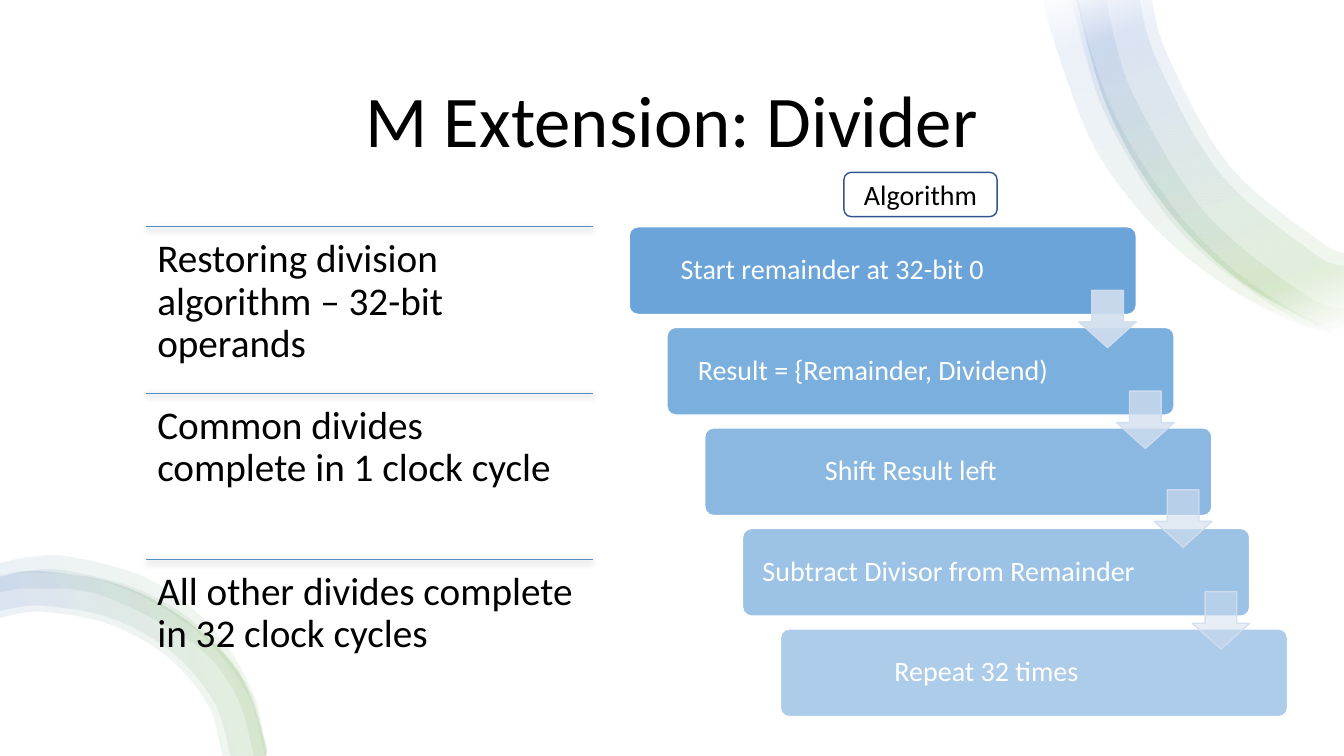
import pptx
import pptx.util
import pptx.dml.color
import pptx.enum.shapes
import pptx.enum.text
import pptx.oxml
import pptx.oxml.ns

Inches = pptx.util.Inches
Kind = pptx.enum.shapes.MSO_SHAPE
Align = pptx.enum.text.PP_ALIGN
Anchor = pptx.enum.text.MSO_ANCHOR
tag = pptx.oxml.ns.qn

HUES = {
    "white": "FFFFFF", "black": "000000", "green": "70AD47", "blue": "4472C4",
    "step": "5B9BD5", "arrow": "D2DEEF", "rule": "538DC1", "frame": "325491",
}
SPACE = 'xmlns:a="http://schemas.openxmlformats.org/drawingml/2006/main"'

POINTS = ["Restoring division algorithm – 32-bit operands",
          "Common divides complete in 1 clock cycle",
          "All other divides complete in 32 clock cycles"]
STEPS = ["Start remainder at 32-bit 0", "Result = {Remainder, Dividend)",
         "Shift Result left", "Subtract Divisor from Remainder", "Repeat 32 times"]
ARROWS = [(2.88, 90), (3.88, 77), (4.86, 63), (5.87, 50)]

RIGHT_EDGE = [(13.33, 3.32), (13.09, 3.24), (12.24, 2.74), (11.52, 2),
              (10.99, 1.08), (10.69, 0.04), (10.67, -0.09)]
LEFT_EDGE = [(2.63, 7.5), (2.62, 7.35), (2.37, 6.69), (1.85, 6.16),
             (1.17, 5.8), (0.4, 5.67), (0, 5.72)]
RIGHT = [
    ([(13.33, 3.35), (12.82, 3.19), (12.21, 2.87), (11.65, 2.45),
      (11.16, 1.92), (10.78, 1.31), (10.41, 0.26), (10.36, -0.09)],
     [(10.68, -0.09), (10.82, 0.52), (11.06, 1.15), (11.4, 1.73), (11.81, 2.27),
      (12.3, 2.73), (12.86, 3.1), (13.17, 3.23), (13.33, 3.28)]),
    (RIGHT_EDGE,
     [(11.41, -0.09), (11.58, 0.55), (12.19, 1.64), (13.07, 2.38), (13.33, 2.51)]),
    ([(13.33, 3.33), (12.79, 3.14), (11.73, 2.33), (10.99, 1.19),
      (10.68, 0.2), (10.63, -0.09)],
     [(10.96, -0.09), (11.07, 0.44), (11.29, 1.04), (11.95, 2.11),
      (12.9, 2.9), (13.33, 3.08)]),
    (RIGHT_EDGE,
     [(11.29, -0.09), (11.47, 0.59), (12.1, 1.72), (13.01, 2.5), (13.33, 2.64)]),
]
LEFT = [
    (LEFT_EDGE,
     [(0, 6.13), (0.4, 6.07), (1.07, 6.19), (1.66, 6.52), (2.06, 7), (2.2, 7.5)]),
    (LEFT_EDGE,
     [(0, 6.06), (0.4, 6.01), (1.09, 6.13), (1.7, 6.47), (2.12, 6.97), (2.28, 7.5)]),
    ([(2.63, 7.5), (2.47, 6.85), (2.03, 6.27), (1.42, 5.87),
      (0.69, 5.67), (0.31, 5.66), (0, 5.71)],
     [(0, 5.88), (0.33, 5.84), (1.01, 5.91), (1.92, 6.39), (2.34, 6.91), (2.51, 7.5)]),
    ([(2.64, 7.5), (2.5, 6.87), (2.1, 6.23), (1.48, 5.75),
      (0.71, 5.53), (0.31, 5.53), (0, 5.59)],
     [(0, 5.72), (0.32, 5.68), (0.87, 5.73), (1.39, 5.91),
      (2, 6.31), (2.45, 6.89), (2.62, 7.5)]),
]


def hue(name):
    return pptx.dml.color.RGBColor.from_string(HUES[name])


def write(shape, text, size=20, color="black", align=Align.CENTER,
          anchor=Anchor.MIDDLE, spacing=0.9, pads=None):
    frame = shape.text_frame
    frame.word_wrap = True
    frame.vertical_anchor = anchor
    if pads:
        (frame.margin_left, frame.margin_top,
         frame.margin_right, frame.margin_bottom) = map(Inches, pads)
    para = frame.paragraphs[0]
    para.alignment = align
    para.line_spacing = spacing
    run = para.add_run()
    run.text = text
    run.font.name = "Calibri"
    run.font.size = pptx.util.Pt(size)
    run.font.color.rgb = hue(color)


def fade(part, alpha):
    for color in part.iter(tag("a:srgbClr")):
        color.append(pptx.oxml.parse_xml(f'<a:alpha {SPACE} val="{alpha * 1000}"/>'))


def block(slide, kind, box, fill, line=None, adjust=()):
    shape = slide.shapes.add_shape(kind, *map(Inches, box))
    shape.shadow.inherit = False
    for spot, value in enumerate(adjust):
        shape.adjustments[spot] = value
    shape.fill.solid()
    shape.fill.fore_color.rgb = hue(fill)
    if line:
        shape.line.color.rgb = hue(line)
        shape.line.width = pptx.util.Pt(1)
    else:
        shape.line.fill.background()
    return shape


def curve(knots):
    ends = [knots[0], *knots, knots[-1]]
    dots = []
    for a, b, c, d in zip(ends, ends[1:], ends[2:], ends[3:]):
        dots.append(tuple(q + (r - p) / 6 for p, q, r in zip(a, b, c)))
        dots.append(tuple(r - (s - q) / 6 for q, r, s in zip(b, c, d)))
        dots.append(c)
    return dots


def bend(track, lines):
    for first in range(0, len(lines), 3):
        arc = pptx.oxml.parse_xml(f'<a:cubicBezTo {SPACE}/>')
        lines[first].addprevious(arc)
        for line in lines[first:first + 3]:
            arc.append(line[0])
            track.remove(line)


def band(slide, outer, inner, angle):
    first, second = curve(outer), curve(inner)
    dots = [tuple(map(Inches, dot)) for dot in [outer[0], *first, inner[0], *second]]
    pen = slide.shapes.build_freeform(*dots[0])
    pen.add_line_segments(dots[1:], close=True)
    shape = pen.convert_to_shape()
    shape.shadow.inherit = False
    shape.line.fill.background()
    form = shape._element.spPr.find(tag("a:custGeom"))
    track = form.find(tag("a:pathLst"))[0]
    lines = track.findall(tag("a:lnTo"))
    bend(track, lines[:len(first)])
    bend(track, lines[len(first) + 1:len(first) + 1 + len(second)])
    stops = "".join(
        f'<a:gs pos="{spot * 1000}"><a:srgbClr val="{HUES[name]}">'
        '<a:alpha val="10000"/></a:srgbClr></a:gs>'
        for spot, name in [(0, "white"), (15, "blue"), (84, "green"), (98, "white")])
    form.addnext(pptx.oxml.parse_xml(
        f'<a:gradFill {SPACE} rotWithShape="1"><a:gsLst>{stops}</a:gsLst>'
        f'<a:lin ang="{angle * 60000}" scaled="0"/></a:gradFill>'))


def rule(slide, left, top, width):
    line = slide.shapes.add_connector(
        pptx.enum.shapes.MSO_CONNECTOR.STRAIGHT,
        *map(Inches, (left, top, left + width, top)))
    line.line.color.rgb = hue("rule")
    line.line.width = pptx.util.Pt(0.5)
    line._element.spPr.append(pptx.oxml.parse_xml(
        f'<a:effectLst {SPACE}><a:outerShdw blurRad="57150" dist="19050" dir="5400000" '
        f'algn="ctr" rotWithShape="0"><a:srgbClr val="{HUES["black"]}">'
        '<a:alpha val="63000"/></a:srgbClr></a:outerShdw></a:effectLst>'))


def point(slide, text, top):
    rule(slide, 1.45, top, 4.43)
    box = slide.shapes.add_textbox(*map(Inches, (1.44, top, 4.43, 1.65)))
    write(box, text, size=28, align=Align.LEFT, anchor=Anchor.TOP, pads=[0.12] * 4)


def stairs(slide):
    left, top, width, shift, pitch, size = 6.24, 2.25, 5.03, 1.5 / 4, 3.99 / 4, 0.57
    for row, text in enumerate(STEPS):
        step = block(slide, Kind.ROUNDED_RECTANGLE,
                     (left + row * shift, top + row * pitch, width, 0.87),
                     "step", "white", [0.1])
        fade(step.fill._xPr.find(tag("a:solidFill")), 90 - 10 * row)
        write(step, text, color="white", pads=(0.1, 0.1, 1.04 if row else 1.1, 0.1))
    for row, (high, alpha) in enumerate(ARROWS):
        arrow = block(slide, Kind.DOWN_ARROW,
                      (left + width - size + row * shift, high, size, size),
                      "arrow", "arrow", [0.55, 0.45])
        fade(arrow.fill._xPr.find(tag("a:solidFill")), alpha)
        fade(arrow.line._ln, 90)


def main():
    deck = pptx.Presentation()
    deck.slide_width, deck.slide_height = Inches(13.33), Inches(7.5)
    slide = deck.slides.add_slide(deck.slide_layouts[5])
    block(slide, Kind.RECTANGLE, (0, 0, 13.33, 7.5), "white")
    for bands, angle in [(RIGHT, 70), (LEFT, 340)]:
        for outer, inner in bands:
            band(slide, outer, inner, angle)
    title = slide.shapes.title
    title.left, title.top, title.width, title.height = map(Inches, (0.91, 0.61, 11.5, 1.24))
    slide.shapes._spTree.append(title._element)
    write(title, "M Extension: Divider", size=52)
    for row, text in enumerate(POINTS):
        point(slide, text, 2.25 + row * 1.65)
    stairs(slide)
    label = block(slide, Kind.ROUNDED_RECTANGLE, (8.37, 1.71, 1.52, 0.44), "white", "frame")
    write(label, "Algorithm", spacing=1)
    deck.save("out.pptx")


if __name__ == "__main__":
    main()
